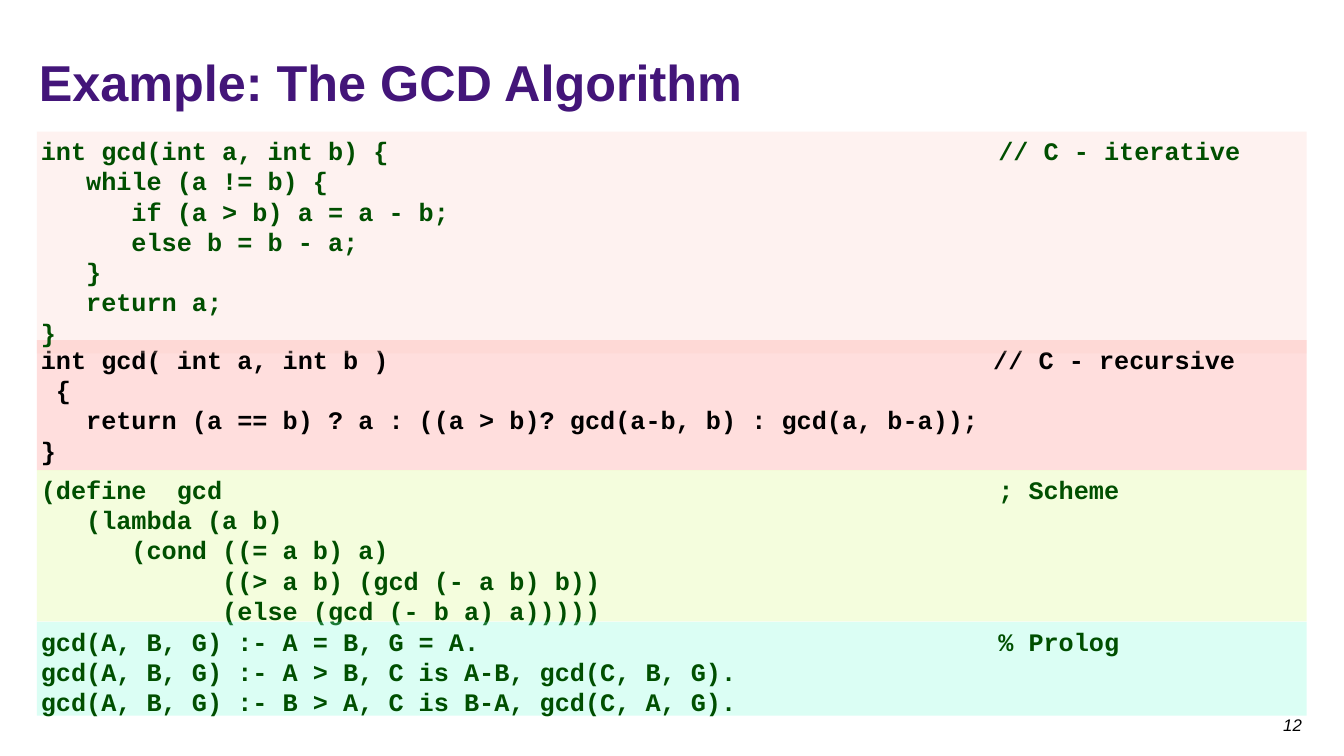
from lxml import etree
from pptx import Presentation
from pptx.dml.color import RGBColor
from pptx.enum.shapes import MSO_SHAPE
from pptx.enum.text import MSO_ANCHOR, MSO_AUTO_SIZE, PP_ALIGN
from pptx.oxml.ns import qn
from pptx.util import Inches, Pt

INSET = 0.08
PANEL_LEFT, PANEL_WIDTH = 0.73, 25.2
GREEN, BLACK, PURPLE = "004F00", "000000", "431579"

RECURSIVE = """int gcd( int a, int b )\t// C - recursive
 {
   return (a == b) ? a : ((a > b)? gcd(a-b, b) : gcd(a, b-a));
}"""

SCHEME = """(define  gcd\t; Scheme
   (lambda (a b)
      (cond ((= a b) a)
            ((> a b) (gcd (- a b) b))
            (else (gcd (- b a) a)))))"""

PROLOG = """gcd(A, B, G) :- A = B, G = A.\t% Prolog
gcd(A, B, G) :- A > B, C is A-B, gcd(C, B, G).
gcd(A, B, G) :- B > A, C is B-A, gcd(C, A, G)."""

ITERATIVE = """int gcd(int a, int b) {\t// C - iterative
   while (a != b) {
      if (a > b) a = a - b;
      else b = b - a;
   }
   return a;
}"""

# top, height, fill, text colour, comment tab stop, code
PANELS = [
    (6.75, 2.58, "FF7E79", BLACK, 18.9, RECURSIVE),
    (9.33, 3, "D4FB79", GREEN, 19, SCHEME),
    (12.34, 1.86, "73FCD6", GREEN, 19, PROLOG),
    (2.61, 4.4, "FDCDC4", GREEN, 19, ITERATIVE),
]


def color(value):
    """Turn a hex string into a colour."""
    return RGBColor.from_string(value)


def set_frame(frame, anchor, wrap=True):
    """Give a text frame its insets, anchor and wrapping."""
    frame.margin_left = frame.margin_right = Inches(INSET)
    frame.margin_top = frame.margin_bottom = Inches(INSET)
    frame.vertical_anchor = anchor
    frame.word_wrap = wrap
    frame.auto_size = MSO_AUTO_SIZE.NONE


def style_text(frame, font, size, ink, align, bold=False, italic=False):
    """Format every run in a text frame."""
    for para in frame.paragraphs:
        para.alignment = align
        for span in para.runs:
            span.font.name = font
            span.font.size = Pt(size)
            span.font.bold = bold
            span.font.italic = italic
            span.font.color.rgb = color(ink)


def set_opacity(shape, percent):
    """Make a solid fill partly transparent."""
    fill = shape.fill._xPr.find(qn("a:solidFill"))
    etree.SubElement(fill[0], qn("a:alpha")).set("val", str(percent * 1000))


def add_tab_stop(para, position):
    """Add a left tab stop to a paragraph."""
    stops = etree.SubElement(para._p.get_or_add_pPr(), qn("a:tabLst"))
    stop = etree.SubElement(stops, qn("a:tab"))
    stop.set("pos", str(Inches(position)))
    stop.set("algn", "l")


def add_title(page, left, top, width, height):
    """Place and format the slide title."""
    title = page.shapes.title
    title.left, title.top = Inches(left), Inches(top)
    title.width, title.height = Inches(width), Inches(height)
    frame = title.text_frame
    frame.text = "Example: The GCD Algorithm"
    set_frame(frame, MSO_ANCHOR.BOTTOM)
    style_text(frame, "Arial", 72, PURPLE, PP_ALIGN.LEFT, bold=True)
    frame.paragraphs[0]._p.get_or_add_pPr().set("marL", str(Inches(0.07)))


def add_page_number(page, left, top, width, height):
    """Place the page number."""
    box = page.shapes.add_textbox(
        Inches(left), Inches(top), Inches(width), Inches(height))
    box.text_frame.text = "12"
    set_frame(box.text_frame, MSO_ANCHOR.TOP, wrap=False)
    style_text(box.text_frame, "Arial", 24, BLACK, PP_ALIGN.CENTER, italic=True)


def add_code_panel(page, top, height, fill, ink, comment_stop, code):
    """Draw a tinted panel of code with its language comment at a tab stop."""
    panel = page.shapes.add_shape(
        MSO_SHAPE.RECTANGLE, Inches(PANEL_LEFT), Inches(top),
        Inches(PANEL_WIDTH), Inches(height))
    panel.shadow.inherit = False
    panel.line.fill.background()
    panel.fill.solid()
    panel.fill.fore_color.rgb = color(fill)
    set_opacity(panel, 25)
    frame = panel.text_frame
    frame.text = code
    set_frame(frame, MSO_ANCHOR.TOP)
    style_text(frame, "Courier New", 36, ink, PP_ALIGN.LEFT, bold=True)
    for para in frame.paragraphs:
        para.line_spacing = Pt(43.2)
    add_tab_stop(frame.paragraphs[0], comment_stop)


def build():
    """Build and save the deck."""
    deck = Presentation()
    deck.slide_width, deck.slide_height = Inches(26.67), Inches(15)
    page = deck.slides.add_slide(deck.slide_layouts[5])
    add_title(page, 0.62, 0, 23.64, 2.29)
    add_page_number(page, 25.38, 14.1, 0.54, 0.53)
    for panel in PANELS:
        add_code_panel(page, *panel)
    deck.save("out.pptx")


build()
